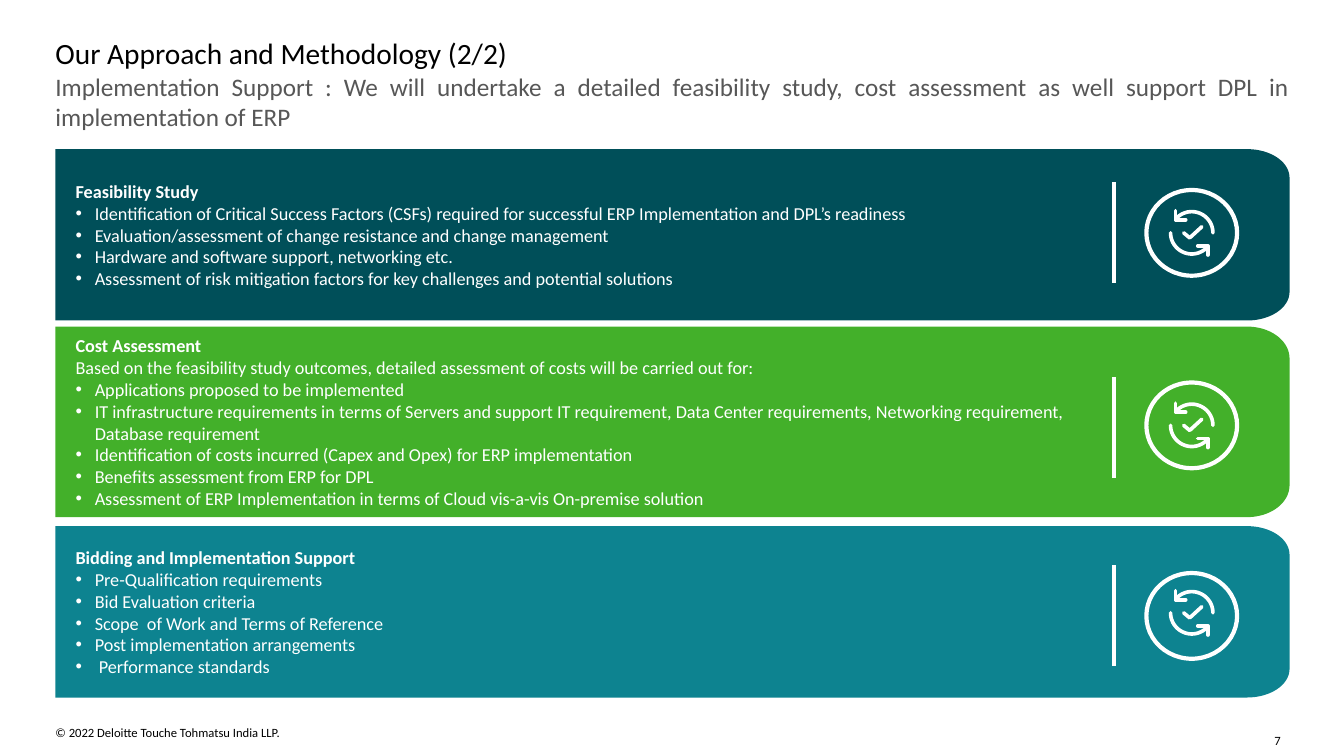
from math import cos, sin, radians

from lxml.etree import SubElement
from pptx import Presentation
from pptx.dml.color import RGBColor as RGB
from pptx.enum.shapes import MSO_CONNECTOR as LINK, MSO_SHAPE as SHAPE
from pptx.enum.text import MSO_ANCHOR as ANCHOR, PP_ALIGN as ALIGN
from pptx.oxml.ns import qn
from pptx.util import Inches, Pt

# Content
TITLE = "Our Approach and Methodology (2/2)"
LEAD = ("Implementation Support : We will undertake a detailed feasibility study, "
        "cost assessment as well support DPL in implementation of ERP")
FOOTER = "© 2022 Deloitte Touche Tohmatsu India LLP."
PAGE = "7"
CARDS = [
    {"head": "Feasibility Study", "intro": [], "items": [
        "Identification of Critical Success Factors (CSFs) required for successful "
        "ERP Implementation and DPL’s readiness",
        "Evaluation/assessment of change resistance and change management",
        "Hardware and software support, networking etc.",
        "Assessment of risk mitigation factors for key challenges and potential solutions"],
     "fill": "004F59", "top": 1.48, "high": 1.7, "bar": 1.81, "ring": 2.31, "swirl": 2.31},
    {"head": "Cost Assessment", "intro": [
        "Based on the feasibility study outcomes, detailed assessment of costs "
        "will be carried out for:"], "items": [
        "Applications proposed to be implemented",
        "IT infrastructure requirements in terms of Servers and support IT requirement, "
        "Data Center requirements, Networking requirement, Database requirement",
        "Identification of costs incurred (Capex and Opex) for ERP implementation",
        "Benefits assessment from ERP for DPL",
        "Assessment of ERP Implementation in terms of Cloud vis-a-vis On-premise solution"],
     "fill": "43B02A", "top": 3.24, "high": 1.89, "bar": 3.74, "ring": 4.22, "swirl": 4.22},
    {"head": "Bidding and Implementation Support", "intro": [], "items": [
        "Pre-Qualification requirements",
        "Bid Evaluation criteria",
        "Scope  of Work and Terms of Reference",
        "Post implementation arrangements",
        " Performance standards"],
     "fill": "0D8390", "top": 5.22, "high": 1.7, "bar": 5.61, "ring": 6.11, "swirl": 6.08},
]

THEME = {"font": "Calibri", "black": "000000", "grey": "575757", "white": "FFFFFF",
         "title": 21, "lead": 18, "card": 13, "small": 9, "bar": 3, "ring": 3, "swirl": 2.6}

# Layout, in inches
LEFT, WIDE = 0.55, 12.24
CURVE = 0.42
BAR_X, BAR_H = 11.05, 1
ICON_X, RING_W, RING_H = 11.82, 0.9, 0.85
HANG = 0.19
ARC_R = 0.21

prs = Presentation()
prs.slide_width, prs.slide_height = Inches(13.33), Inches(7.5)
slide = prs.slides.add_slide(prs.slide_layouts[6])
shapes = slide.shapes


def color(name):
    return RGB.from_string(THEME.get(name, name))


def style(par, size, tone, bold=False):
    font = par.font
    font.name, font.size, font.bold = THEME["font"], Pt(THEME[size]), bold
    font.color.rgb = color(tone)


def inset(frame, left=0, top=0, right=0, bottom=0):
    frame.margin_left, frame.margin_top = Inches(left), Inches(top)
    frame.margin_right, frame.margin_bottom = Inches(right), Inches(bottom)


def label(text, box, size, tone="black", align=ALIGN.LEFT, wrap=True):
    frame = shapes.add_textbox(*map(Inches, box)).text_frame
    frame.word_wrap = wrap
    inset(frame)
    frame.text = text
    par = frame.paragraphs[0]
    par.alignment = align
    style(par, size, tone)


def bullet(par):
    props = par._p.get_or_add_pPr()
    props.set("marL", str(Inches(HANG)))
    props.set("indent", str(-Inches(HANG)))
    SubElement(props, qn("a:buFont"), typeface="Arial")
    SubElement(props, qn("a:buChar"), char="•")


def arc(x, y, rx, ry, start, end, steps=24):
    turns = [radians(start + (end - start) * i / steps) for i in range(steps + 1)]
    return [(x + rx * cos(t), y + ry * sin(t)) for t in turns]


def outline(paths, close):
    paths = [[(Inches(x), Inches(y)) for x, y in path] for path in paths]
    form = shapes.build_freeform(*paths[0][0])
    for i, path in enumerate(paths):
        if i:
            form.move_to(*path[0])
        form.add_line_segments(path[1:], close=close)
    shape = form.convert_to_shape()
    shape.shadow.inherit = False
    return shape


def stroke(shape, width):
    shape.shadow.inherit = False
    shape.fill.background()
    shape.line.color.rgb = color("white")
    shape.line.width = Pt(THEME[width])


def panel(card):
    top, high = card["top"], card["high"]
    right, low, ry = LEFT + WIDE, top + high, high / 6
    edge = [(LEFT, top),
            *arc(right - CURVE, top + ry, CURVE, ry, -90, 0),
            *arc(right - CURVE, low - ry, CURVE, ry, 0, 90),
            (LEFT, low)]
    shape = outline([edge], True)
    shape.fill.solid()
    shape.fill.fore_color.rgb = color(card["fill"])
    shape.line.fill.background()

    frame = shape.text_frame
    frame.word_wrap, frame.vertical_anchor = True, ANCHOR.MIDDLE
    inset(frame, 0.2, 0.1, 1.97, 0.1)
    plain = [card["head"], *card["intro"]]
    frame.text = "\n".join(plain + card["items"])
    for i, par in enumerate(frame.paragraphs):
        par.alignment = ALIGN.LEFT
        if i >= len(plain):
            bullet(par)
        style(par, "card", "white", bold=i == 0)


def divider(top):
    x = Inches(BAR_X)
    bar = shapes.add_connector(LINK.STRAIGHT, x, Inches(top), x, Inches(top + BAR_H))
    bar.line.color.rgb = color("white")
    bar.line.width = Pt(THEME["bar"])
    SubElement(bar._element.spPr, qn("a:effectLst"))


def icon(ring_y, swirl_y):
    ring = shapes.add_shape(SHAPE.OVAL, Inches(ICON_X - RING_W / 2),
                            Inches(ring_y - RING_H / 2), Inches(RING_W), Inches(RING_H))
    stroke(ring, "ring")

    # The upper arrow is the lower one turned by half
    lower = [arc(0, 0, ARC_R, ARC_R, 180, 45), [(0.06, 0.13), (0.16, 0.13), (0.16, 0.22)]]
    upper = [[(-x, -y) for x, y in path] for path in lower]
    tick = [(-0.08, 0), (-0.02, 0.05), (0.1, -0.06)]
    paths = [[(ICON_X + x, swirl_y + y) for x, y in path]
             for path in [*lower, *upper, tick]]
    swirl = outline(paths, False)
    stroke(swirl, "swirl")
    pen = swirl.line._get_or_add_ln()
    pen.set("cap", "rnd")
    SubElement(pen, qn("a:round"))


# Footer and headings
label(FOOTER, (LEFT, 7.19, 5.86, 0.15), "small")
label(PAGE, (12.64, 7.27, 0.15, 0.15), "small", wrap=False)
label(LEAD, (LEFT, 0.71, WIDE, 0.48), "lead", "grey", ALIGN.JUSTIFY)
label(TITLE, (LEFT, 0.35, WIDE, 0.37), "title")

# Cards
for card in CARDS:
    panel(card)
    divider(card["bar"])
    icon(card["ring"], card["swirl"])

prs.save("out.pptx")
